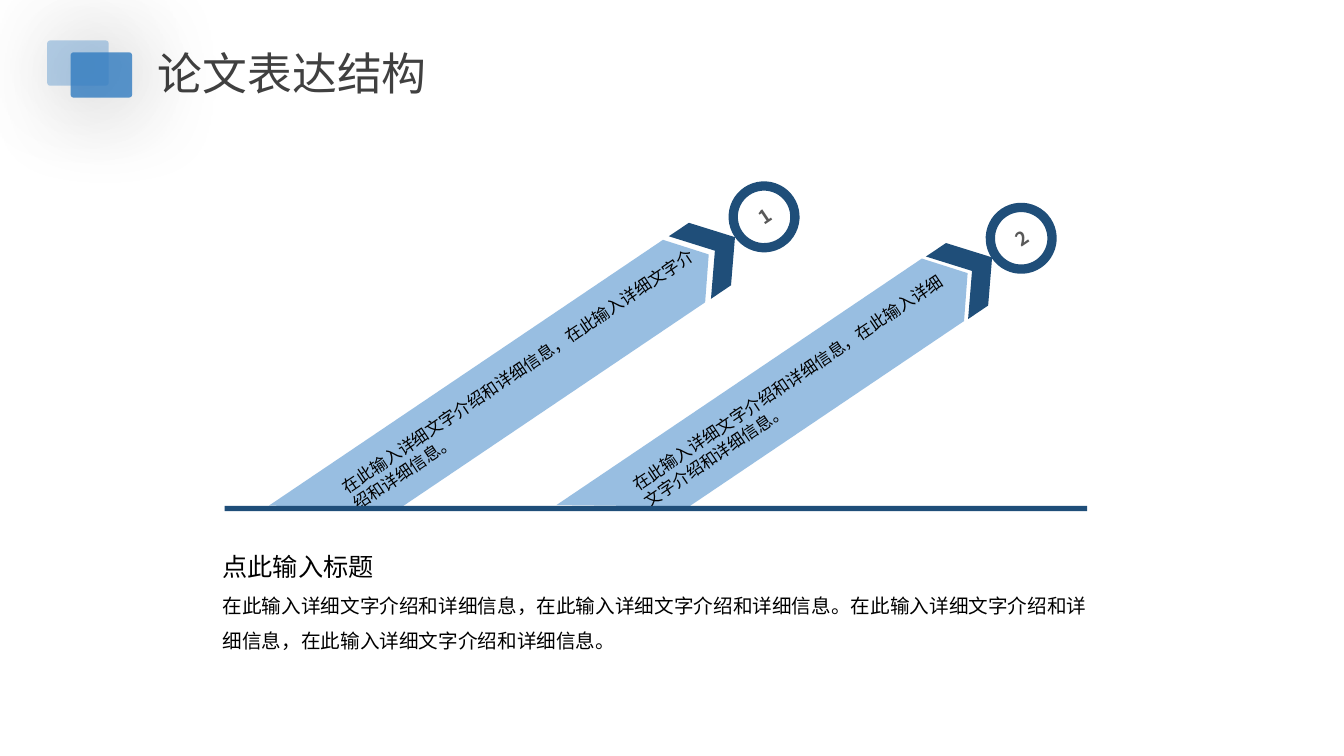
from lxml.etree import SubElement
from pptx import Presentation
from pptx.dml.color import RGBColor
from pptx.enum.shapes import MSO_SHAPE
from pptx.enum.text import MSO_ANCHOR, PP_ALIGN
from pptx.oxml.ns import qn
from pptx.util import Cm, Pt

COLORS = {
    "navy": "1F4E79",
    "blue": "327EC4",
    "black": "000000",
    "title": "404040",
    "number": "595959",
}
FONT = "Noto Sans CJK SC"
TILT = 326
BAR_HEIGHT = 1.9
BAR_TIP = 0.75
BAR_FOOT = 2.75
BAR_TEXT = "在此输入详细文字介绍和详细信息，在此输入详细文字介绍和详细信息。"
DETAIL = BAR_TEXT * 2
ARROWS = [
    {"number": "1", "head": (17.27, 5.41), "bar": (6.22, 9.02, 12.73), "ring": (18.36, 4.57), "indent": 1.8},
    {"number": "2", "head": (23.75, 5.92), "bar": (13.54, 9.25, 11.86), "ring": (24.84, 5.11), "indent": 1.9},
]


class SlideBuilder:
    def __init__(self, presentation):
        self.slide = presentation.slides.add_slide(presentation.slide_layouts[5])

    def group(self):
        return self.slide.shapes.add_group_shape().shapes

    def paint(self, shape, color, opacity=100):
        shape.shadow.inherit = False
        shape.line.fill.background()
        shape.fill.solid()
        shape.fill.fore_color.rgb = RGBColor.from_string(COLORS[color])
        if opacity < 100:
            color_element = shape._element.spPr.find(qn("a:solidFill"))[0]
            SubElement(color_element, qn("a:alpha"), val=str(opacity * 1000))

    def preset(self, shapes, kind, box, color, adjustment=None, opacity=100):
        shape = shapes.add_shape(kind, *[Cm(value) for value in box])
        if adjustment is not None:
            shape.adjustments[0] = adjustment
        self.paint(shape, color, opacity)
        return shape

    def glow(self, shape):
        effects = shape._element.spPr.find(qn("a:effectLst"))
        shadow = SubElement(
            effects, qn("a:outerShdw"), blurRad=str(Pt(70)), dist=str(Pt(3)),
            dir=str(45 * 60000), algn="ctr", rotWithShape="0",
        )
        black = SubElement(shadow, qn("a:srgbClr"), val=COLORS["black"])
        SubElement(black, qn("a:alpha"), val="40000")

    def frame(self, shape, margins):
        frame = shape.text_frame
        frame.word_wrap = True
        frame.vertical_anchor = MSO_ANCHOR.MIDDLE
        left, top, right, bottom = [Cm(value) for value in margins]
        frame.margin_left, frame.margin_top = left, top
        frame.margin_right, frame.margin_bottom = right, bottom
        return frame

    def label(self, paragraph, text, size, color, alignment=PP_ALIGN.LEFT, bold=False):
        paragraph.text = text
        paragraph.alignment = alignment
        for run in paragraph.runs:
            run.font.size = Pt(size)
            run.font.bold = bold
            run.font.color.rgb = RGBColor.from_string(COLORS[color])
            run.font.name = FONT
            SubElement(run._r.rPr, qn("a:ea"), typeface=FONT)

    def title(self, text, box):
        shape = self.slide.shapes.title
        shape.left, shape.top, shape.width, shape.height = [Cm(value) for value in box]
        frame = self.frame(shape, (0.25, 0, 0.25, 0))
        self.label(frame.paragraphs[0], text, 32, "title", PP_ALIGN.JUSTIFY)

    def emblem(self):
        shapes = self.group()
        for left, top, opacity in [(1.78, 1.32, 80), (1.19, 1.02, 35)]:
            box = (left, top, 1.55, 1.14)
            self.glow(self.preset(shapes, MSO_SHAPE.ROUNDED_RECTANGLE, box, "blue", 0.066, opacity))

    def bar(self, shapes, left, top, length, indent):
        shoulder = length - BAR_TIP
        outline = [
            (shoulder, 0), (length, BAR_HEIGHT / 2),
            (shoulder, BAR_HEIGHT), (BAR_FOOT, BAR_HEIGHT),
        ]
        builder = shapes.build_freeform(0, 0)
        builder.add_line_segments([(Cm(x), Cm(y)) for x, y in outline], close=True)
        shape = builder.convert_to_shape(Cm(left), Cm(top))
        self.paint(shape, "blue", 50)
        shape.rotation = TILT
        frame = self.frame(shape, (indent, 0, 0.25, 0))
        self.label(frame.paragraphs[0], BAR_TEXT, 12, "black")

    def arrow(self, number, head, bar, ring, indent):
        shapes = self.group()
        chevron = self.preset(shapes, MSO_SHAPE.CHEVRON, (*head, 1.37, BAR_HEIGHT), "navy", 0.555)
        chevron.rotation = TILT
        self.bar(shapes, *bar, indent)
        donut = self.preset(shapes, MSO_SHAPE.DONUT, (*ring, 1.79, 1.79), "navy", 0.131)
        donut.rotation = TILT
        frame = self.frame(donut, (0.3, 0, 0.25, 0))
        self.label(frame.paragraphs[0], number, 13.5, "number", PP_ALIGN.CENTER, True)

    def description(self, heading, detail, box):
        shape = self.slide.shapes.add_textbox(*[Cm(value) for value in box])
        frame = self.frame(shape, (0, 0, 0, 0))
        self.label(frame.paragraphs[0], heading, 18, "black")
        self.label(frame.add_paragraph(), detail, 14, "black")
        for paragraph in frame.paragraphs:
            paragraph.line_spacing = 1.5


def main():
    presentation = Presentation()
    presentation.slide_width = Cm(33.87)
    presentation.slide_height = Cm(19.05)
    builder = SlideBuilder(presentation)
    builder.title("论文表达结构", (3.73, 1.02, 9.6, 1.63))
    builder.emblem()
    for arrow in ARROWS:
        builder.arrow(**arrow)
    builder.description("点此输入标题", DETAIL, (5.61, 13, 21.8, 3.96))
    builder.preset(builder.slide.shapes, MSO_SHAPE.RECTANGLE, (5.66, 12.75, 21.74, 0.13), "navy")
    presentation.save("out.pptx")


if __name__ == "__main__":
    main()
